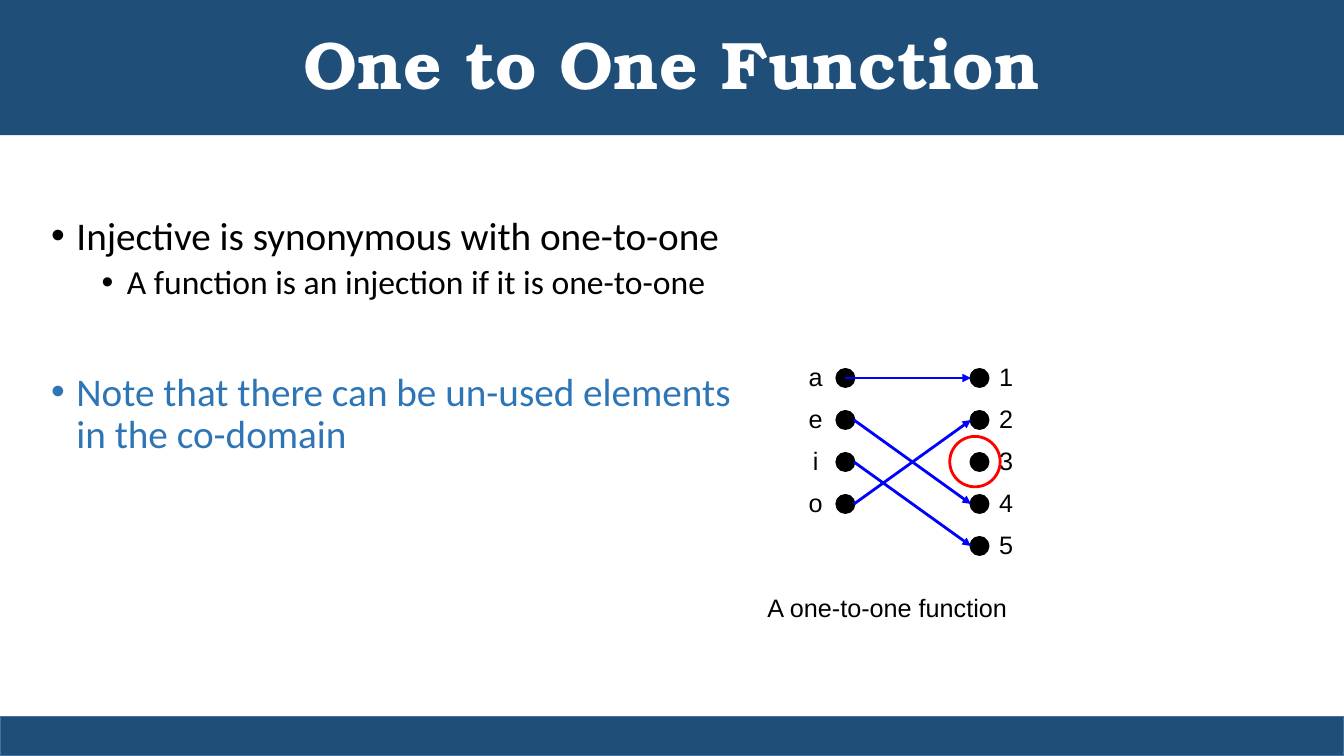
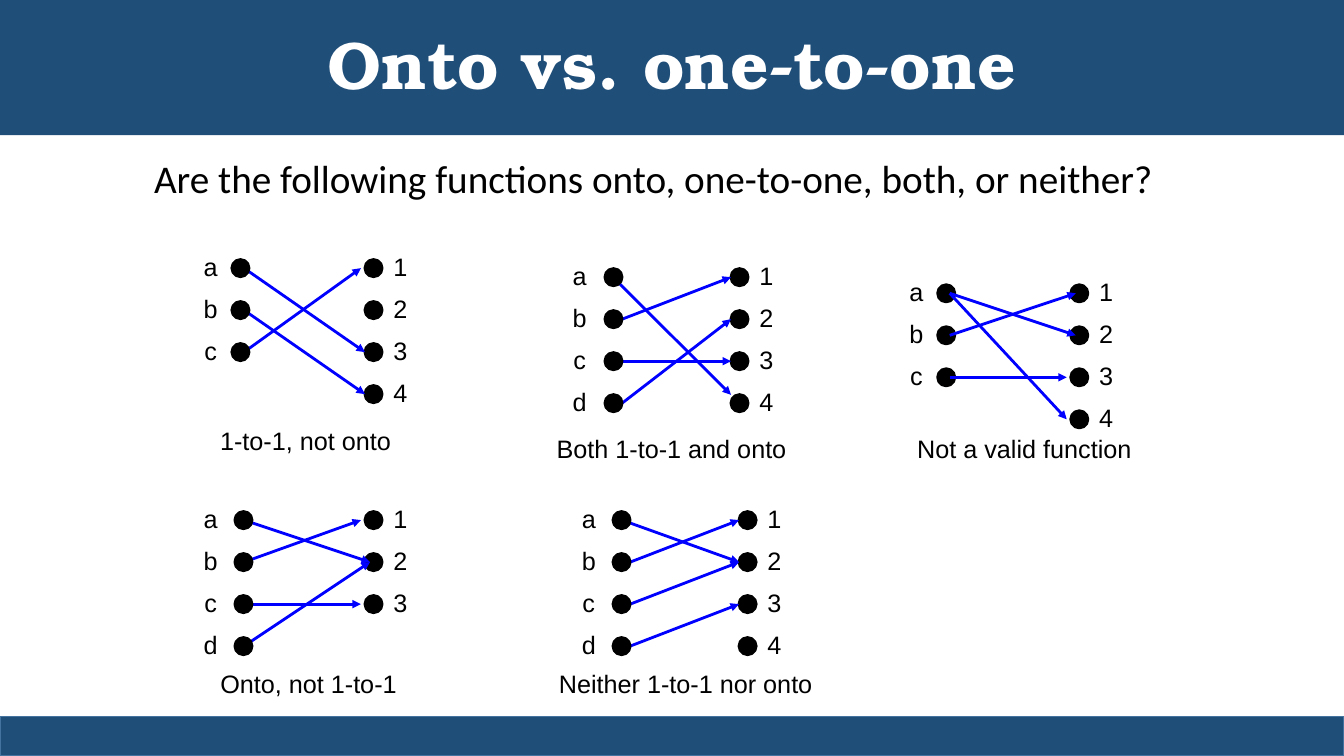
from dataclasses import dataclass

from lxml import etree
from pptx import Presentation
from pptx.dml.color import RGBColor
from pptx.enum.shapes import MSO_CONNECTOR, MSO_SHAPE
from pptx.enum.text import MSO_ANCHOR, MSO_AUTO_SIZE, PP_ALIGN
from pptx.oxml.ns import qn
from pptx.util import Inches, Pt

CENTER, LEFT = PP_ALIGN.CENTER, PP_ALIGN.LEFT
MIDDLE = MSO_ANCHOR.MIDDLE
NO_AUTOFIT = MSO_AUTO_SIZE.NONE
RECTANGLE, OVAL = MSO_SHAPE.RECTANGLE, MSO_SHAPE.OVAL
STRAIGHT = MSO_CONNECTOR.STRAIGHT

TITLE_FONT, BODY_FONT, LABEL_FONT = "TeX Gyre Bonum", "Calibri", "Arial"
NAVY, EDGE, SKY = "1F4E79", "43739E", "2E75B6"
BLACK, WHITE, BLUE, RED = "000000", "FFFFFF", "0000FF", "FF0000"

SLIDE_WIDTH, SLIDE_HEIGHT = 13.33, 7.5
TITLE_HEIGHT, FOOTER_HEIGHT = 1.34, 0.39
DOT = 0.17
ROW = 5 / 12
FIRST_ROW = 0.33
LABEL_WIDTH = 0.34
LABEL_LINE = Pt(30)
RIGHT_LABEL_GAP = 0.18
CAPTION_WIDTH, CAPTION_HEIGHT = 2.72, 0.4


@dataclass
class Mapping:
    """Describe a dot diagram; arrows hold source row, target row and both end offsets."""

    left: float
    top: float
    sources: str
    targets: str
    left_dot: float
    right_dot: float
    arrows: list
    caption: str
    caption_center: float
    caption_top: float
    arrows_on_top: bool = False


INJECTION = Mapping(
    7.92, 3.42, "aeio", "12345", 0.38, 1.71,
    [(0, 0, 0.08, 0), (1, 3, 0.17, 0), (3, 1, 0.17, 0), (2, 4, 0.17, 0)],
    "A one-to-one function", 0.88, 2.41, True)

EXAMPLES = [
    Mapping(
        1.92, 2.33, "abc", "1234", 0.38, 1.7,
        [(1, 3, 0.12, 0), (0, 2, 0.12, 0), (2, 0, 0.12, -0.04)],
        "1-to-1, not onto", 1.11, 1.84),
    Mapping(
        1.92, 4.83, "abcd", "123", 0.41, 1.7,
        [(1, 0, 0.09, -0.04), (0, 1, 0.09, 0.05),
         (2, 2, 0.09, -0.04), (3, 1, 0.09, 0.05)],
        "Onto, not 1-to-1", 1.14, 1.75),
    Mapping(
        5.58, 2.42, "abcd", "1234", 0.42, 1.67,
        [(2, 2, 0.17, 0), (0, 2.8, 0.08, 0), (3, 1, 0.17, 0), (1, 0, 0.17, 0)],
        "Both 1-to-1 and onto", 1.08, 1.83),
    Mapping(
        5.67, 4.83, "abcd", "1234", 0.41, 1.66,
        [(2, 1, 0.17, 0), (0, 1, 0.09, 0), (3, 2, 0.17, 0), (1, 0, 0.17, 0)],
        "Neither 1-to-1 nor onto", 1.13, 1.75),
    Mapping(
        8.92, 2.58, "abc", "1234", 0.38, 1.7,
        [(1, 0, 0.12, 0.05), (0, 1, 0.12, 0.05),
         (2, 2, 0.12, -0.04), (0, 3, 0.12, -0.04)],
        "Not a valid function", 1.24, 1.67, True),
]


def color(value):
    """Turn a hex string into a colour."""
    return RGBColor.from_string(value)


def box_of(left, top, width, height):
    """Convert a box in inches to lengths."""
    return [Inches(value) for value in (left, top, width, height)]


def add_span(para, text, font, size, hue, bold=False):
    """Add one formatted run to a paragraph."""
    span = para.add_run()
    span.text = text
    span.font.name = font
    span.font.size = Pt(size)
    span.font.bold = bold
    span.font.color.rgb = color(hue)


def add_text_box(shapes, box, wrap=True):
    """Add an empty text box and return its text frame."""
    frame = shapes.add_textbox(*box_of(*box)).text_frame
    frame.word_wrap = wrap
    return frame


def add_lines(frame, lines, font, size, hue, align=LEFT, spacing=None):
    """Write one paragraph for each line of text."""
    for index, line in enumerate(lines):
        para = frame.add_paragraph() if index else frame.paragraphs[0]
        para.alignment = align
        para.line_spacing = spacing
        add_span(para, line, font, size, hue)


def add_preset(shapes, kind, box, fill=None, line=None, weight=2):
    """Add a flat preset shape with an optional fill and outline."""
    shape = shapes.add_shape(kind, *box_of(*box))
    shape.shadow.inherit = False
    if fill:
        shape.fill.solid()
        shape.fill.fore_color.rgb = color(fill)
    else:
        shape.fill.background()
    shape.line.color.rgb = color(line)
    shape.line.width = Pt(weight)


def add_arrow(shapes, start, end):
    """Add a blue arrow between two points."""
    arrow = shapes.add_connector(
        STRAIGHT, *[Inches(value) for value in (*start, *end)])
    arrow.line.color.rgb = color(BLUE)
    arrow.line.width = Pt(2)
    properties = arrow._element.spPr
    etree.SubElement(properties.find(qn("a:ln")), qn("a:tailEnd"), type="triangle")
    etree.SubElement(properties, qn("a:effectLst"))


def add_page(deck, title):
    """Add a slide with the title band and the footer band."""
    page = deck.slides.add_slide(deck.slide_layouts[5])
    band = page.shapes.title
    band.left, band.top, band.width, band.height = box_of(
        0, 0, SLIDE_WIDTH, TITLE_HEIGHT)
    band.fill.solid()
    band.fill.fore_color.rgb = color(NAVY)
    frame = band.text_frame
    frame.auto_size = NO_AUTOFIT
    frame.vertical_anchor = MIDDLE
    para = frame.paragraphs[0]
    para.alignment = CENTER
    para.line_spacing = 0.9
    add_span(para, title, TITLE_FONT, 48, WHITE, True)
    footer = (0, SLIDE_HEIGHT - FOOTER_HEIGHT, SLIDE_WIDTH, FOOTER_HEIGHT)
    add_preset(page.shapes, RECTANGLE, footer, NAVY, EDGE, 1)
    return page


def add_bullet(para, indent, before):
    """Give a paragraph a hanging bullet and its spacing."""
    properties = para._p.get_or_add_pPr()
    properties.set("marL", str(Inches(indent)))
    properties.set("indent", str(Inches(-0.25)))
    etree.SubElement(properties, qn("a:buFont"), typeface="Arial")
    etree.SubElement(properties, qn("a:buChar"), char="•")
    para.line_spacing = 0.9
    para.space_before = Pt(before)


def add_bullets(page, box):
    """Write the bulleted notes on injections."""
    frame = add_text_box(page.shapes, box)
    notes = [
        (["Injective is synonymous with one-to-one"], 0.25, 0, 28, BLACK),
        (["A function is an injection if it is one-to-one"], 0.75, 5, 24, BLACK),
        (["Note that there can be un-used elements", "in the co-domain"],
         0.25, 50, 28, SKY),
    ]
    for index, (lines, indent, before, size, hue) in enumerate(notes):
        para = frame.add_paragraph() if index else frame.paragraphs[0]
        add_bullet(para, indent, before)
        for number, line in enumerate(lines):
            if number:
                para.add_line_break()
            add_span(para, line, BODY_FONT, size, hue)


def add_dots(shapes, left, first_center, count):
    """Add a column of black dots."""
    for row in range(count):
        top = first_center + row * ROW - DOT / 2
        add_preset(shapes, OVAL, (left, top, DOT, DOT), BLACK, BLACK)


def add_labels(shapes, left, top, labels):
    """Add a column of labels spaced like the dots."""
    box = (left, top, LABEL_WIDTH, len(labels) * ROW + 0.1)
    frame = add_text_box(shapes, box, wrap=False)
    add_lines(frame, labels, LABEL_FONT, 18, BLACK, CENTER, LABEL_LINE)


def add_mapping(page, mapping):
    """Draw a grouped dot diagram with its arrows and caption."""
    shapes = page.shapes.add_group_shape().shapes
    left_dot = mapping.left + mapping.left_dot
    right_dot = mapping.left + mapping.right_dot
    first_center = mapping.top + FIRST_ROW
    add_labels(shapes, mapping.left, mapping.top, mapping.sources)
    add_labels(shapes, right_dot + RIGHT_LABEL_GAP, mapping.top, mapping.targets)
    add_dots(shapes, right_dot, first_center, len(mapping.targets))
    if mapping.arrows_on_top:
        add_dots(shapes, left_dot, first_center, len(mapping.sources))
    for source, target, start, end in mapping.arrows:
        add_arrow(shapes,
                  (left_dot + start, first_center + source * ROW),
                  (right_dot + end, first_center + target * ROW))
    if not mapping.arrows_on_top:
        add_dots(shapes, left_dot, first_center, len(mapping.sources))
    caption_left = mapping.left + mapping.caption_center - CAPTION_WIDTH / 2
    caption_box = (caption_left, mapping.top + mapping.caption_top,
                   CAPTION_WIDTH, CAPTION_HEIGHT)
    frame = add_text_box(page.shapes, caption_box, wrap=False)
    add_lines(frame, [mapping.caption], LABEL_FONT, 18, BLACK, CENTER)


def build_injection_page(deck):
    """Build the slide that defines one-to-one functions."""
    page = add_page(deck, "One to One Function")
    add_bullets(page, (0.41, 2.1, 7.93, 4.76))
    add_mapping(page, INJECTION)
    add_preset(page.shapes, OVAL, (9.42, 4.33, 0.5, 0.5), line=RED)


def build_comparison_page(deck):
    """Build the slide that compares onto and one-to-one functions."""
    page = add_page(deck, "Onto vs. one-to-one")
    frame = add_text_box(page.shapes, (1.43, 1.53, 10.46, 1.08))
    question = "Are the following functions onto, one-to-one, both, or neither?"
    add_lines(frame, [question], BODY_FONT, 28, BLACK, spacing=0.9)
    for mapping in EXAMPLES:
        add_mapping(page, mapping)


def main():
    """Build and save the deck."""
    deck = Presentation()
    deck.slide_width = Inches(SLIDE_WIDTH)
    deck.slide_height = Inches(SLIDE_HEIGHT)
    build_injection_page(deck)
    build_comparison_page(deck)
    deck.save("out.pptx")


if __name__ == "__main__":
    main()
